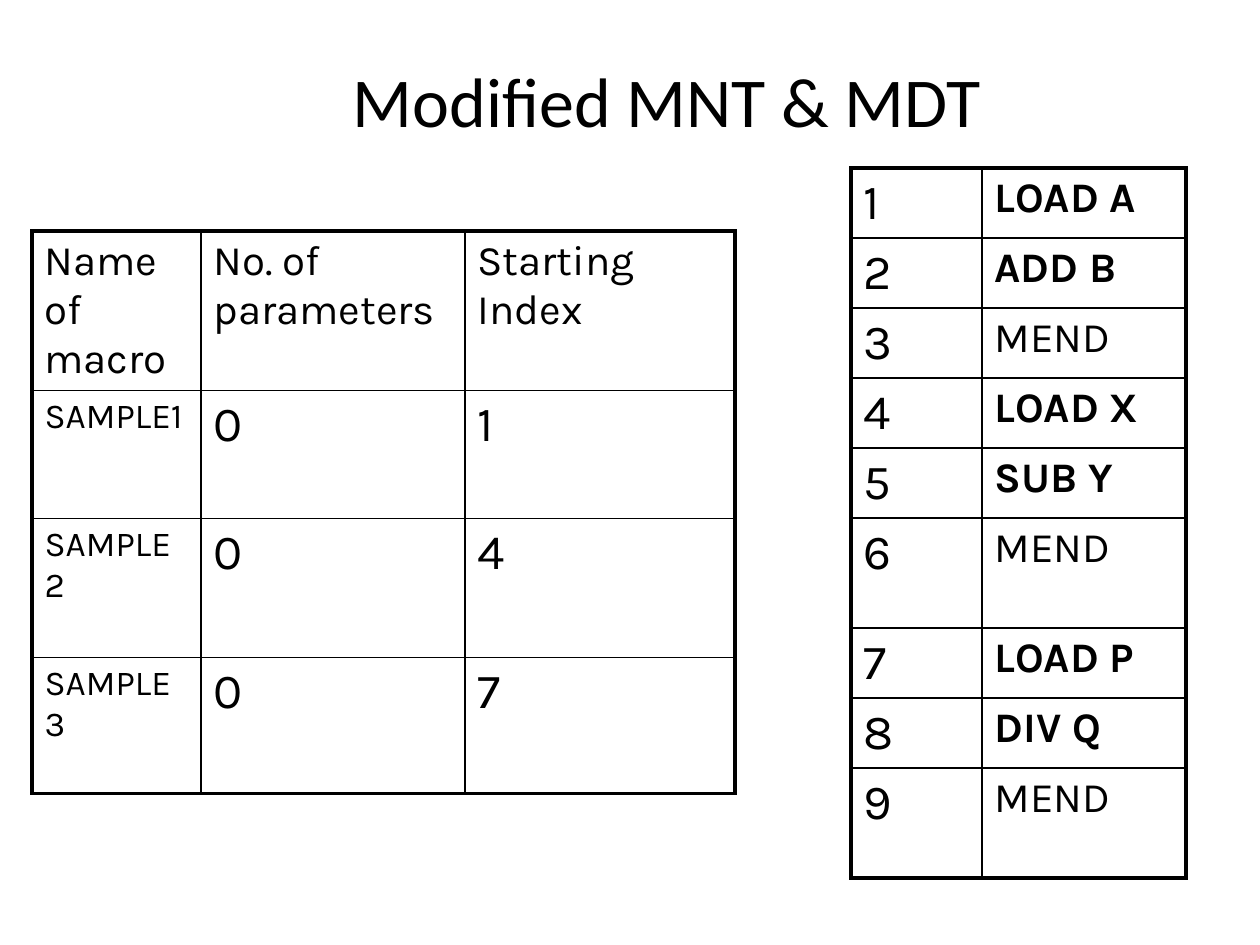
"""Build a slide with a macro name table beside a macro definition table."""
from dataclasses import dataclass

import lxml.etree
import pptx
import pptx.dml.color
import pptx.enum.text
import pptx.oxml.ns
import pptx.util

BLACK = pptx.dml.color.RGBColor(0x00, 0x00, 0x00)
PX_PER_INCH = 126
OUTER_LINE = 2.25
INNER_LINE = 1


@dataclass(frozen=True)
class Entry:
    text: str
    size: int
    bold: bool = False


@dataclass(frozen=True)
class Grid:
    left: int
    top: int
    widths: list[int]
    heights: list[int]
    rows: list[list[Entry]]


def px(length: int) -> int:
    return round(length * pptx.util.Inches(1) / PX_PER_INCH)


def add_child(parent, tag: str, **attributes: str):
    return lxml.etree.SubElement(parent, pptx.oxml.ns.qn(tag), attributes)


def write_text(frame, text: str, *, font: str, size: int, bold: bool = False):
    para = frame.paragraphs[0]
    span = para.add_run()
    span.text = text
    span.font.name = font
    span.font.size = pptx.util.Pt(size)
    span.font.bold = bold
    span.font.color.rgb = BLACK
    return para


def add_border(cell, side: str, points: float) -> None:
    properties = cell._tc.get_or_add_tcPr()
    line = add_child(properties, f"a:ln{side}", w=str(pptx.util.Pt(points)))
    fill = add_child(line, "a:solidFill")
    add_child(fill, "a:srgbClr", val=str(BLACK))


def fill_cell(cell, entry: Entry, outer_sides: dict[str, bool]) -> None:
    para = write_text(cell.text_frame, entry.text, font="Karla", size=entry.size, bold=entry.bold)
    spacing = add_child(para._p.get_or_add_pPr(), "a:spcBef")
    add_child(spacing, "a:spcPct", val="20000")
    for side, outer in outer_sides.items():
        add_border(cell, side, OUTER_LINE if outer else INNER_LINE)
    cell.fill.background()


def draw_grid(page, grid: Grid) -> None:
    last_row, last_column = len(grid.heights) - 1, len(grid.widths) - 1
    table = page.shapes.add_table(
        last_row + 1, last_column + 1, px(grid.left), px(grid.top),
        px(sum(grid.widths)), px(sum(grid.heights)),
    ).table
    table.first_row = False
    table.horz_banding = False
    for column, width in zip(table.columns, grid.widths):
        column.width = px(width)
    for row, height in zip(table.rows, grid.heights):
        row.height = px(height)
    for r, entries in enumerate(grid.rows):
        for c, entry in enumerate(entries):
            outer_sides = {"L": c == 0, "R": c == last_column, "T": r == 0, "B": r == last_row}
            fill_cell(table.cell(r, c), entry, outer_sides)


def draw_title(page, text: str) -> None:
    box = page.shapes.title
    box.left, box.top, box.width, box.height = map(px, (147, 42, 1040, 116))
    box.text_frame.vertical_anchor = pptx.enum.text.MSO_ANCHOR.MIDDLE
    para = write_text(box.text_frame, text, font="Calibri", size=40)
    para.alignment = pptx.enum.text.PP_ALIGN.CENTER


def name_rows() -> list[list[Entry]]:
    headings = ["Name of macro", "No. of parameters", "Starting Index"]
    macros = [("SAMPLE1", "0", "1"), ("SAMPLE2", "0", "4"), ("SAMPLE3", "0", "7")]
    return [[Entry(heading, 24) for heading in headings]] + [
        [Entry(name, 20), Entry(count, 28), Entry(index, 28)] for name, count, index in macros
    ]


def definition_rows() -> list[list[Entry]]:
    statements = ["LOAD A", "ADD B", "MEND", "LOAD X", "SUB Y", "MEND", "LOAD P", "DIV Q", "MEND"]
    return [
        [Entry(str(number), 28), Entry(statement, 24, bold=statement != "MEND")]
        for number, statement in enumerate(statements, 1)
    ]


def main() -> None:
    deck = pptx.Presentation()
    deck.slide_width = px(1260)
    deck.slide_height = px(945)
    page = deck.slides.add_slide(deck.slide_layouts.get_by_name("Title Only"))
    draw_title(page, "Modified MNT & MDT")
    draw_grid(page, Grid(32, 231, [169, 264, 270], [159, 128, 139, 136], name_rows()))
    draw_grid(page, Grid(851, 168, [131, 204], [70] * 5 + [110, 70, 70, 110], definition_rows()))
    deck.save("out.pptx")


if __name__ == "__main__":
    main()
